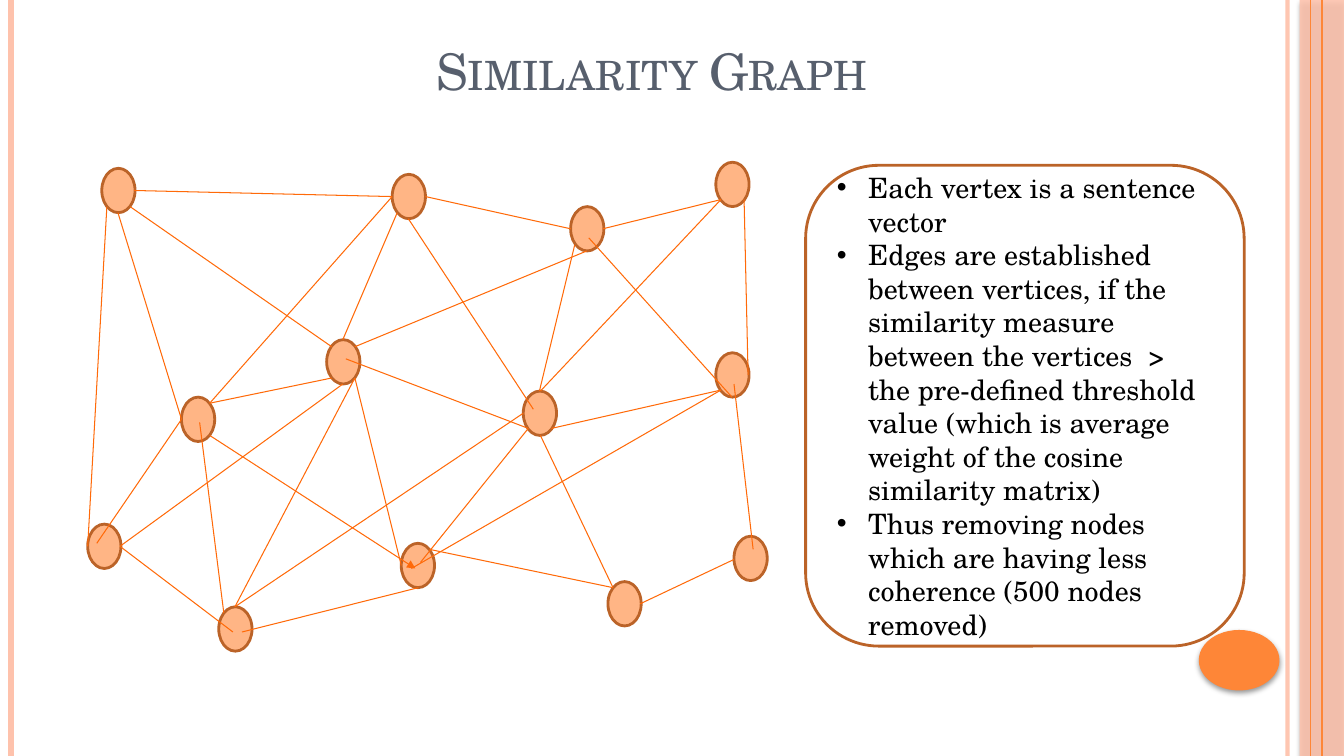
from lxml import etree
from pptx import Presentation
from pptx.dml.color import RGBColor
from pptx.enum.shapes import MSO_CONNECTOR, MSO_SHAPE
from pptx.enum.text import MSO_ANCHOR, PP_ALIGN
from pptx.oxml import parse_xml
from pptx.oxml.ns import nsdecls, qn
from pptx.util import Inches, Pt

STRAIGHT = MSO_CONNECTOR.STRAIGHT
RECTANGLE, ELLIPSE = MSO_SHAPE.RECTANGLE, MSO_SHAPE.OVAL
ROUNDED = MSO_SHAPE.ROUNDED_RECTANGLE
MIDDLE, BOTTOM = MSO_ANCHOR.MIDDLE, MSO_ANCHOR.BOTTOM
LEFT, CENTER = PP_ALIGN.LEFT, PP_ALIGN.CENTER

WHITE = RGBColor(0xFF, 0xFF, 0xFF)
BLACK = RGBColor(0x00, 0x00, 0x00)
SLATE = RGBColor(0x57, 0x5F, 0x6D)
PEACH = RGBColor(0xFE, 0xC2, 0xAC)
ORANGE = RGBColor(0xFE, 0x86, 0x37)
NODE_FILL = RGBColor(0xFF, 0xB5, 0x85)
OUTLINE = RGBColor(0xBB, 0x63, 0x28)
EDGE = RGBColor(0xFF, 0x6A, 0x09)
FONT = "TeX Gyre Schola"

SLIDE_WIDTH, SLIDE_HEIGHT = 13.33, 7.5
NODE_SIZE = (0.33, 0.44)

# x, colour, width in points, opacity in percent
RULES = [
    (12.77, PEACH, 3, 93),
    (0.11, PEACH, 4.5, 100),
    (13.11, ORANGE, 1.5, 100),
    (13, ORANGE, 0.75, 100),
]

# left, top
NODES = [
    (1.01, 1.67), (2.17, 6.02), (6.03, 5.77), (7.28, 5.32), (3.98, 5.39),
    (3.24, 3.37), (0.87, 5.2), (5.19, 3.88), (3.89, 1.73), (7.1, 3.5),
    (7.1, 1.61), (1.8, 3.94), (5.66, 2.05),
]

# start x, start y, end x, end y
EDGES = [
    (1.33, 1.89, 3.89, 1.95), (1.17, 2.11, 1.8, 4.16),
    (1.06, 2.05, 0.87, 5.42), (2.08, 4, 3.29, 3.75),
    (1.19, 5.42, 3.4, 3.81), (3.4, 3.37, 3.94, 2.11),
    (1.29, 2.05, 3.29, 3.44), (4.22, 1.95, 5.66, 2.27),
    (5.98, 2.27, 7.15, 1.98), (7.15, 1.98, 5.36, 3.88),
    (4.05, 2.17, 5.29, 4.06), (5.47, 4.25, 7.15, 3.87),
    (7.38, 1.98, 7.42, 3.72), (5.84, 2.36, 7.26, 3.94),
    (5.7, 2.43, 5.35, 3.88), (3.43, 3.56, 5.24, 4.25),
    (3.52, 3.75, 3.98, 5.61), (4.26, 5.45, 6.08, 5.83),
    (6.35, 5.99, 7.28, 5.55), (7.28, 3.81, 7.47, 5.45),
    (5.36, 4.32, 6.08, 5.83), (4.17, 5.58, 5.24, 4.25),
    (2.4, 6.27, 4.15, 5.83), (1.19, 5.42, 2.31, 6.27),
    (1.98, 4.19, 2.22, 6.08), (4.08, 5.64, 7.15, 3.87),
    (2.33, 6.02, 5.19, 4.1), (2.33, 6.02, 3.52, 3.75),
    (3.52, 3.44, 5.82, 2.49), (0.96, 5.39, 1.8, 4.16),
    (2.08, 4, 3.89, 1.95),
]
ARROW_EDGE = (2.08, 4.32, 4.12, 5.64)

POINTS = [
    "Each vertex is a sentence vector",
    "Edges are established between vertices, if the similarity measure "
    "between the vertices  > the pre-defined threshold value (which is "
    "average weight of the cosine similarity matrix)",
    "Thus removing nodes which are having less coherence (500 nodes removed)",
]


def set_opacity(element, percent):
    """Make the first RGB colour below the element partly transparent."""
    color = next(element.iter(qn("a:srgbClr")))
    etree.SubElement(color, qn("a:alpha"), val=str(percent * 1000))


class SlideBuilder:
    def __init__(self, slide, font):
        self.slide = slide
        self.font = font

    def format_runs(self, paragraph, size, color):
        for run in paragraph.runs:
            run.font.name = self.font
            run.font.size = Pt(size)
            run.font.color.rgb = color

    def title(self, text, left, top, width, height):
        title = self.slide.shapes.title
        title.left, title.top = Inches(left), Inches(top)
        title.width, title.height = Inches(width), Inches(height)
        text_frame = title.text_frame
        text_frame.text = text
        text_frame.vertical_anchor = BOTTOM
        paragraph = text_frame.paragraphs[0]
        paragraph.alignment = CENTER
        self.format_runs(paragraph, 36, SLATE)
        paragraph.runs[0].font._element.set("cap", "small")

    def shape(self, kind, left, top, width, height, fill, outline=None):
        shape = self.slide.shapes.add_shape(
            kind, Inches(left), Inches(top), Inches(width), Inches(height))
        shape.shadow.inherit = False
        shape.fill.solid()
        shape.fill.fore_color.rgb = fill
        if outline is None:
            shape.line.fill.background()
        else:
            shape.line.color.rgb = outline
            shape.line.width = Pt(2)
        return shape

    def shadowed_shape(self, kind, left, top, width, height, fill):
        shape = self.shape(kind, left, top, width, height, fill)
        effects = shape._element.spPr.find(qn("a:effectLst"))
        effects.append(parse_xml(
            f'<a:outerShdw {nsdecls("a")} blurRad="{Pt(4)}" dist="{Pt(2)}" '
            'dir="5400000" rotWithShape="0"><a:srgbClr val="000000">'
            '<a:alpha val="40000"/></a:srgbClr></a:outerShdw>'))
        return shape

    def line(self, start_x, start_y, end_x, end_y, color, width):
        line = self.slide.shapes.add_connector(
            STRAIGHT, Inches(start_x), Inches(start_y),
            Inches(end_x), Inches(end_y))
        line.line.color.rgb = color
        line.line.width = Pt(width)
        etree.SubElement(line._element.spPr, qn("a:effectLst"))
        return line

    def arrow(self, *ends, color, width):
        arrow = self.line(*ends, color, width)
        outline = arrow._element.spPr.find(qn("a:ln"))
        etree.SubElement(outline, qn("a:tailEnd"), type="triangle")

    def bullet_box(self, points, left, top, width, height):
        box = self.shape(ROUNDED, left, top, width, height, WHITE, OUTLINE)
        box.adjustments[0] = 0.167
        text_frame = box.text_frame
        text_frame.word_wrap = True
        text_frame.vertical_anchor = MIDDLE
        text_frame.text = "\n".join(points)
        indent = Inches(0.31)
        for paragraph in text_frame.paragraphs:
            paragraph.alignment = LEFT
            self.format_runs(paragraph, 20, BLACK)
            properties = paragraph._p.get_or_add_pPr()
            properties.set("marL", str(indent))
            properties.set("indent", str(-indent))
            etree.SubElement(properties, qn("a:buFont"), typeface="Arial")
            etree.SubElement(properties, qn("a:buChar"), char="•")


def main():
    presentation = Presentation()
    presentation.slide_width = Inches(SLIDE_WIDTH)
    presentation.slide_height = Inches(SLIDE_HEIGHT)
    title_only = presentation.slide_layouts[5]
    builder = SlideBuilder(presentation.slides.add_slide(title_only), FONT)

    band = builder.shadowed_shape(
        RECTANGLE, 12.89, 0, 0.44, SLIDE_HEIGHT, PEACH)
    set_opacity(band._element.spPr.find(qn("a:solidFill")), 87)
    for x, color, width, opacity in RULES:
        rule = builder.line(x, 0, x, SLIDE_HEIGHT, color, width)
        if opacity < 100:
            set_opacity(rule._element.spPr, opacity)
    builder.shadowed_shape(ELLIPSE, 11.89, 6.25, 0.8, 0.6, ORANGE)

    builder.title("Similarity Graph", 0.74, 0.29, 11.45, 0.76)
    for left, top in NODES:
        builder.shape(ELLIPSE, left, top, *NODE_SIZE, NODE_FILL, OUTLINE)
    for ends in EDGES:
        builder.line(*ends, EDGE, 0.75)
    builder.arrow(*ARROW_EDGE, color=EDGE, width=0.75)
    builder.bullet_box(POINTS, 7.99, 1.64, 4.35, 4.77)

    presentation.save("out.pptx")


if __name__ == "__main__":
    main()
